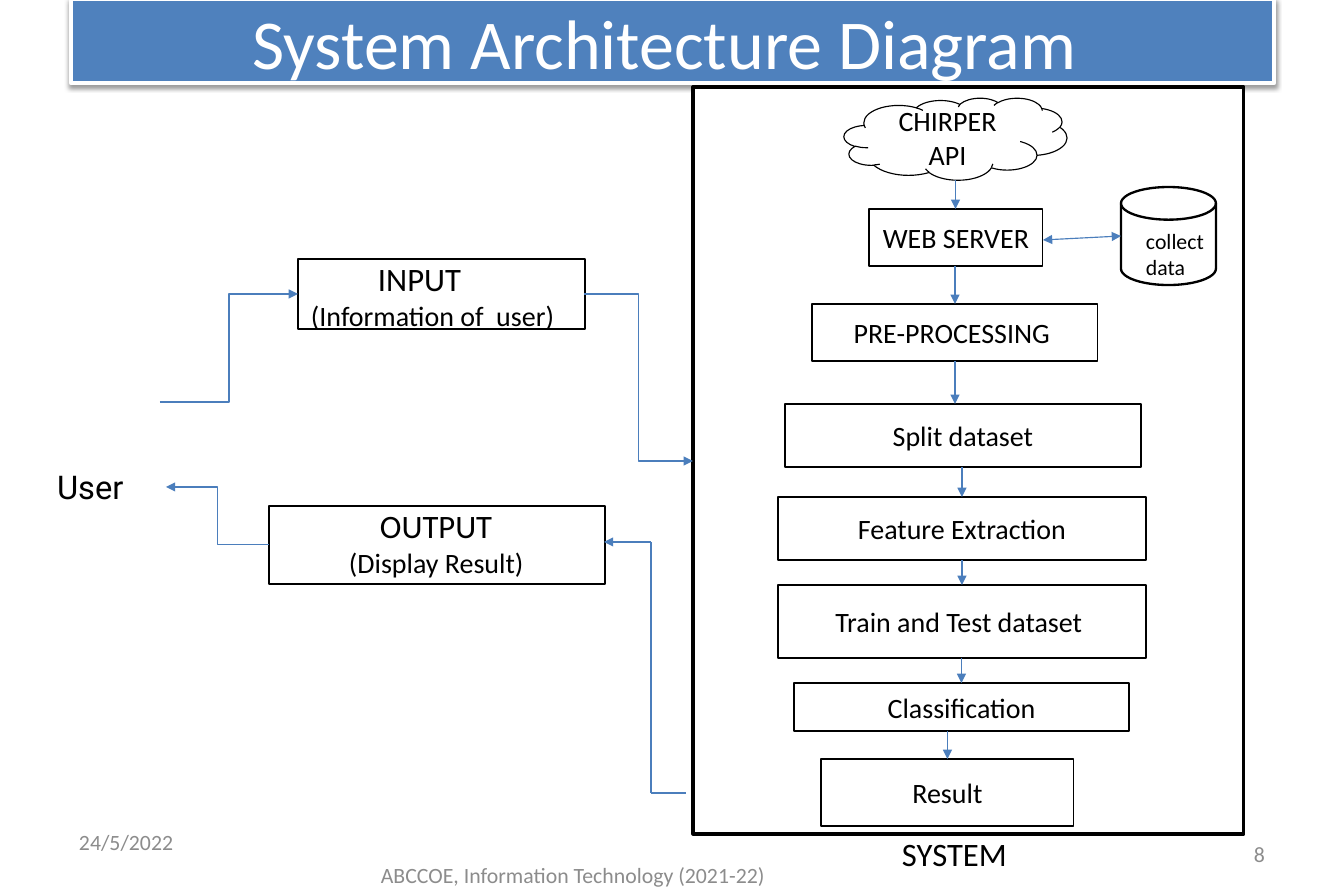
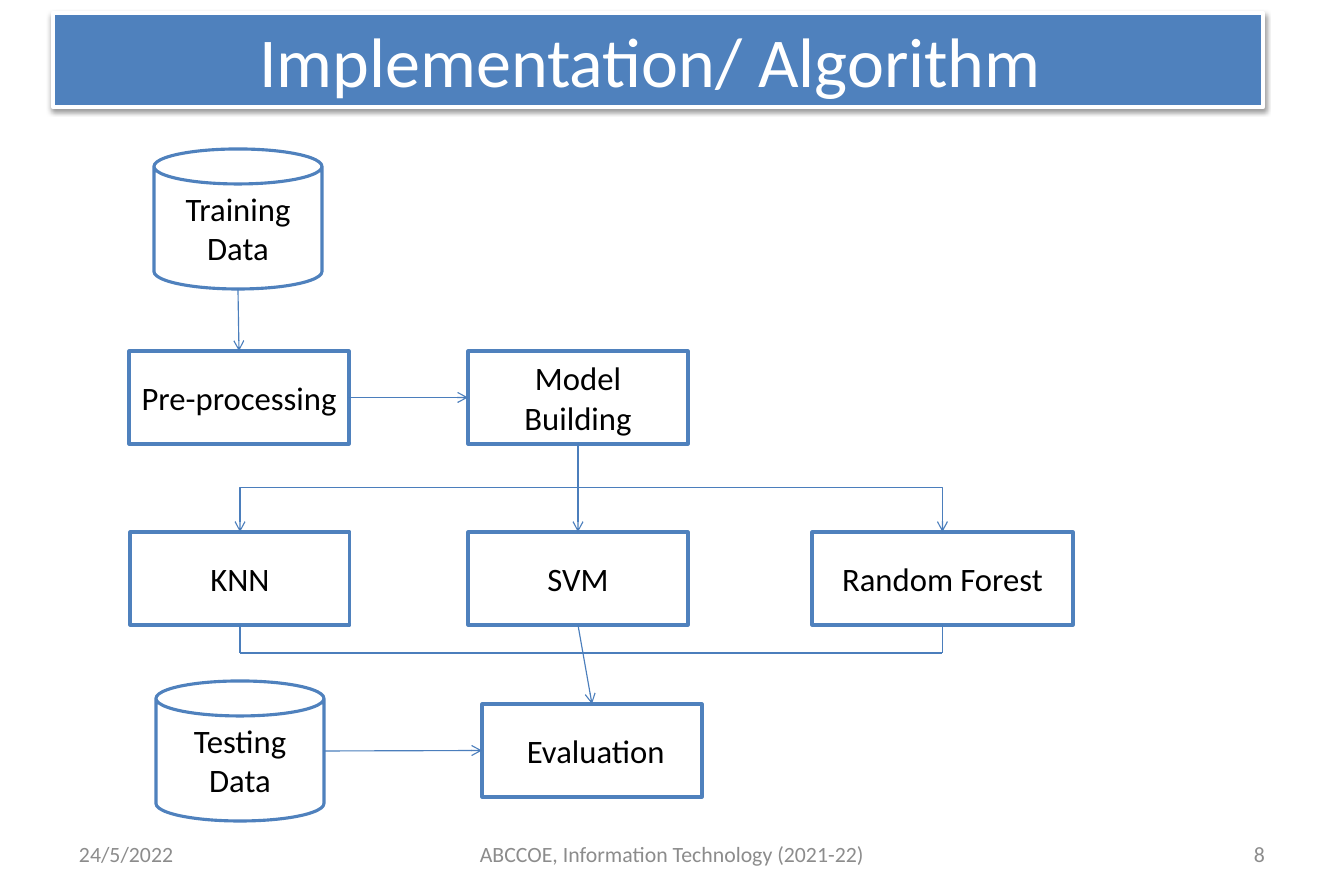
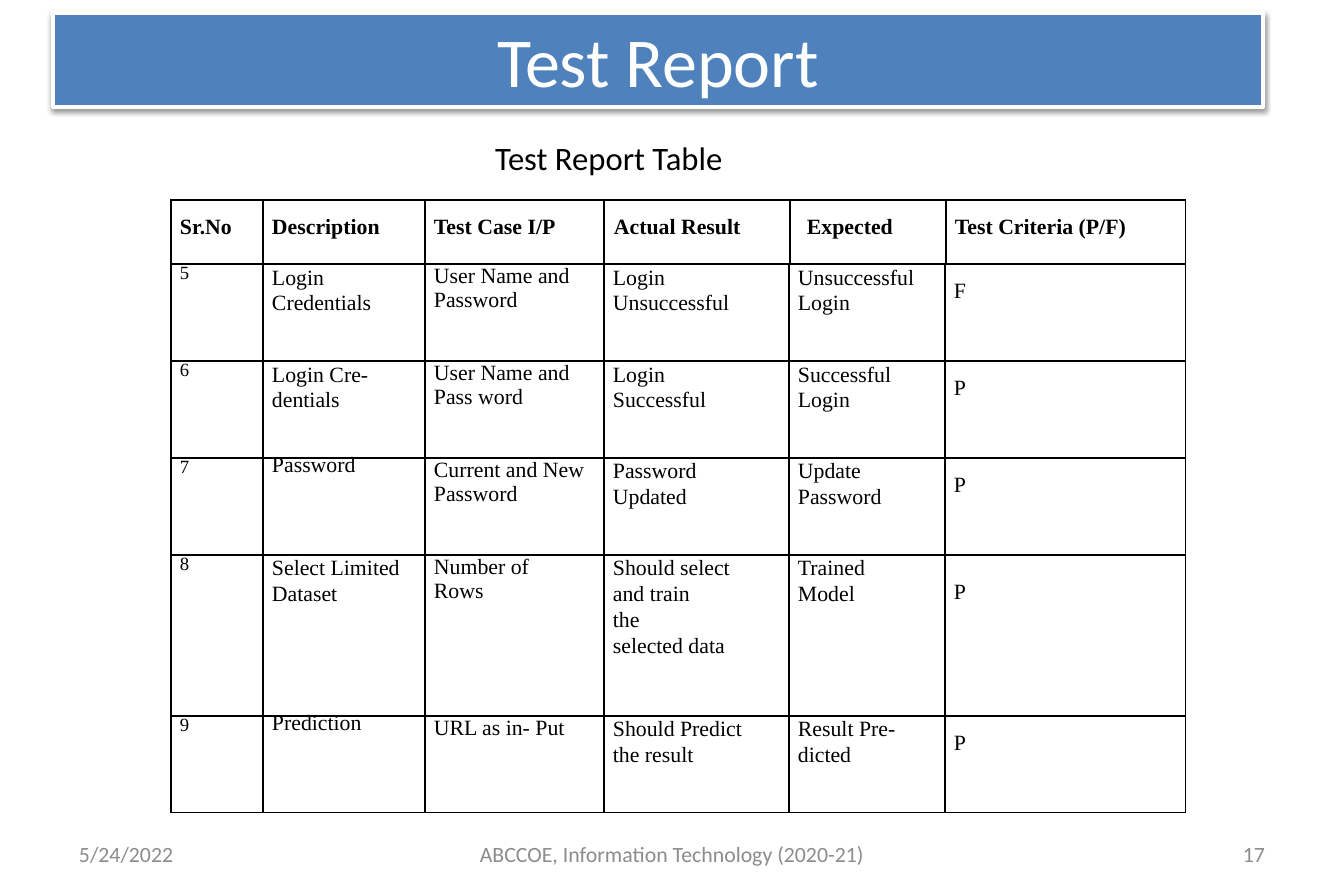
"""Build three project slides: architecture, algorithm and test report."""
from dataclasses import dataclass
from itertools import pairwise

from lxml.etree import SubElement
from pptx import Presentation
from pptx.dml.color import RGBColor
from pptx.enum.shapes import MSO_CONNECTOR as Wire, MSO_SHAPE as Form
from pptx.enum.text import MSO_ANCHOR as Anchor, PP_ALIGN as Align
from pptx.oxml.ns import qn
from pptx.util import Emu, Pt


@dataclass(frozen=True)
class Theme:
    band: str = "4F81BD"
    wire: str = "4B7EBC"
    ink: str = "000000"
    paper: str = "FFFFFF"
    muted: str = "8C8C8C"
    sans: str = "Calibri"
    user: str = "Roboto"
    serif: str = "Times New Roman"
    title: int = 45
    large: int = 21
    body: int = 18
    small: int = 14
    tiny: int = 12
    exact: float = 12.6


THEME = Theme()
COLLEGE = "ABCCOE, Information Technology "
BAND = (53, 13, 1210, 94)
FOOTER = ((67, 830, 314), (459, 830, 426), (963, 830, 314))

ARCHITECTURE = dict(
    title="System Architecture Diagram ",
    band=(71, -1, 1203, 84),
    notes=("24/5/2022", COLLEGE + "(2021-22)", "8"),
    footer=((67, 818, 314), (360, 851, 426), (963, 830, 314)),
)
ALGORITHM = dict(title="Implementation/ Algorithm ",
                 notes=("24/5/2022", COLLEGE + "(2021-22)", "8"))
REPORT = dict(title="Test Report",
              notes=("5/24/2022", COLLEGE + "(2020-21)", "17"))

SYSTEM = (693, 87, 551, 747)
STEPS = [
    ("CHIRPER API", (844, 98, 223, 82)),
    ("WEB SERVER", (869, 209, 174, 57)),
    ("PRE-PROCESSING ", (812, 304, 286, 57)),
    ("Split dataset", (785, 404, 356, 63)),
    ("Feature Extraction", (778, 497, 368, 63)),
    ("Train and Test dataset ", (778, 585, 368, 73)),
    ("Classification", (794, 683, 335, 48)),
    ("Result", (821, 759, 253, 67)),
]
EXCHANGES = [
    ((298, 259, 287, 70), [("INPUT", 80, THEME.large),
                           ("(Information of  user)", 13, THEME.body)]),
    ((269, 506, 336, 78), [("OUTPUT", 111, THEME.large),
                           ("(Display Result)", 80, THEME.body)]),
]
USER_ELBOWS = [((160, 402), (298, 294)), ((584, 294), (693, 461)),
               ((269, 545), (166, 487))]
RESULT_ROUTE = [(686, 793), (651, 793), (651, 542), (604, 542)]
STORE = (1121, 187, 95, 98)
STORE_LINK = ((1043, 240), (1121, 236))

BLOCKS = {
    "training": ("Training Data", Form.CAN, (154, 149, 168, 140)),
    "cleaning": ("Pre-processing", Form.RECTANGLE, (129, 351, 220, 93)),
    "model": ("Model Building", Form.RECTANGLE, (468, 351, 220, 93)),
    "knn": ("KNN", Form.RECTANGLE, (130, 532, 220, 93)),
    "svm": ("SVM", Form.RECTANGLE, (468, 532, 220, 93)),
    "forest": ("Random Forest", Form.RECTANGLE, (812, 532, 261, 93)),
    "testing": ("Testing Data", Form.CAN, (156, 681, 168, 140)),
    "evaluation": (" Evaluation", Form.RECTANGLE, (482, 704, 220, 93)),
}
ACROSS = [("cleaning", "model"), ("testing", "evaluation")]
DOWN = [("training", "cleaning"), ("model", "svm"), ("svm", "evaluation")]
BRANCHES = [("model", "knn"), ("model", "forest")]
MERGE_Y = 653

HEADINGS = ("Sr.No", "Description", "Test Case I/P", "Actual Result",
            "Expected", "Test Criteria (P/F)")
HEADING_WIDTHS = (92, 162, 179, 186, 156, 240)
HEADING_INDENTS = (9, 9, 9, 10, 17, 9)
CASE_WIDTHS = (92, 162, 179, 185, 156, 241)
CASES = [
    (97, 20, ("5", "Login\vCredentials", "User Name and\vPassword",
              "Login\vUnsuccessful", "Unsuccessful\vLogin", "F")),
    (97, 20, ("6", "Login Cre-\vdentials", "User Name and\vPass word",
              "Login\vSuccessful", "Successful\vLogin", "P")),
    (97, 20, ("7", "Password", "Current and New\vPassword",
              "Password\vUpdated", "Update\vPassword", "P")),
    (161, 30, ("8", "Select Limited\vDataset", "Number of\vRows",
               "Should select\vand train\vthe\vselected data",
               "Trained\vModel", "P")),
    (97, 20, ("9", "Prediction", "URL as in- Put",
              "Should Predict\vthe result", "Result Pre-\vdicted", "P")),
]
CASE_SPACING = (Pt(THEME.exact), 1.07, 1.0, 1.07, 1.07, Pt(THEME.exact))


def px(length):
    return Emu(round(length * 914400 / 112))


def rgb(name):
    return RGBColor.from_string(name)


def style(para, size, color=THEME.ink, font=THEME.sans, bold=False):
    para.font.size = Pt(size)
    para.font.name = font
    para.font.bold = bold
    para.font.color.rgb = rgb(color)


def write(box, text, size, color=THEME.ink, align=Align.CENTER,
          anchor=Anchor.MIDDLE, font=THEME.sans):
    frame = box.text_frame
    frame.word_wrap = True
    frame.vertical_anchor = anchor
    para = frame.paragraphs[0]
    para.text = text
    para.alignment = align
    style(para, size, color, font)


def add_label(page, at, text, size, **looks):
    box = page.shapes.add_textbox(*map(px, at))
    write(box, text, size, **{"align": Align.LEFT, "anchor": Anchor.TOP, **looks})
    return box


def add_block(page, form, at, width=0.75, line=THEME.ink, fill=THEME.paper):
    block = page.shapes.add_shape(form, *map(px, at))
    block.shadow.inherit = False
    block.fill.solid()
    block.fill.fore_color.rgb = rgb(fill)
    block.line.color.rgb = rgb(line)
    block.line.width = Pt(width)
    return block


def add_wire(page, start, end, kind=Wire.STRAIGHT, head=None, tail=None):
    wire = page.shapes.add_connector(kind, *map(px, (*start, *end)))
    wire.line.color.rgb = rgb(THEME.wire)
    wire.line.width = Pt(0.75)
    line = wire.line._get_or_add_ln()
    for tag, tip in (("a:headEnd", head), ("a:tailEnd", tail)):
        if tip:
            SubElement(line, qn(tag), type=tip)
    SubElement(wire._element.spPr, qn("a:effectLst"))
    return wire


def add_route(page, points, tail=None):
    legs = list(pairwise(points))
    for leg in legs:
        add_wire(page, *leg, tail=tail if leg == legs[-1] else None)


def add_drop(page, start, end, tail):
    """Draw an elbow that leaves downwards, as a quarter-turned connector."""
    (x1, y1), (x2, y2) = start, end
    mid_x, mid_y = (x1 + x2) / 2, (y1 + y2) / 2
    half_w, half_h = (y2 - y1) / 2, (x1 - x2) / 2
    wire = add_wire(page, (mid_x - half_w, mid_y - half_h),
                    (mid_x + half_w, mid_y + half_h), Wire.ELBOW, tail=tail)
    wire._element.spPr.find(qn("a:xfrm")).set("rot", "5400000")


def side(at, across, down):
    left, top, width, height = at
    return left + width * across, top + height * down


def add_page(deck, title, notes, band=BAND, footer=FOOTER):
    page = deck.slides.add_slide(deck.slide_layouts[6])
    aligns = (Align.LEFT, Align.CENTER, Align.RIGHT)
    for text, (left, top, width), align in zip(notes, footer, aligns):
        box = add_label(page, (left, top, width, 48), text, THEME.small,
                        color=THEME.muted, align=align, anchor=Anchor.MIDDLE)
        box.text_frame.margin_left = box.text_frame.margin_right = px(12)
    banner = add_block(page, Form.RECTANGLE, band, 3, THEME.paper, THEME.band)
    write(banner, title, THEME.title, THEME.paper)
    effects = banner._element.spPr.find(qn("a:effectLst"))
    shadow = SubElement(effects, qn("a:outerShdw"), blurRad=str(Pt(3.1)),
                        dist=str(Pt(1.6)), dir="5400000", rotWithShape="0")
    tint = SubElement(shadow, qn("a:srgbClr"), val=THEME.ink)
    SubElement(tint, qn("a:alpha"), val="38000")
    return page


def build_architecture(deck):
    page = add_page(deck, **ARCHITECTURE)
    add_label(page, (46, 461, 120, 50), "User", THEME.large, font=THEME.user)
    for at, lines in EXCHANGES:
        frame = add_block(page, Form.RECTANGLE, at, 1).text_frame
        frame.vertical_anchor = Anchor.TOP
        frame.margin_left = frame.margin_right = 0
        frame.margin_top = frame.margin_bottom = 0
        for index, (text, indent, size) in enumerate(lines):
            para = frame.add_paragraph() if index else frame.paragraphs[0]
            para.text = text
            para.alignment = Align.LEFT
            para._p.get_or_add_pPr().set("marL", str(px(indent)))
            style(para, size)
    add_block(page, Form.RECTANGLE, SYSTEM, 2)
    for index, (text, at) in enumerate(STEPS):
        form = Form.RECTANGLE if index else Form.CLOUD
        write(add_block(page, form, at), text, THEME.body)
    for (_, upper), (_, lower) in pairwise(STEPS):
        x = min(side(upper, 0.5, 1)[0], side(lower, 0.5, 0)[0])
        add_wire(page, (x, upper[1] + upper[3]), (x, lower[1]), tail="triangle")
    for start, end in USER_ELBOWS:
        add_wire(page, start, end, Wire.ELBOW, tail="triangle")
    add_route(page, RESULT_ROUTE, "triangle")
    add_block(page, Form.FLOWCHART_MAGNETIC_DISK, STORE, 1.5)
    add_wire(page, *STORE_LINK, head="triangle", tail="triangle")
    add_label(page, (1135, 222, 121, 64), "collect data", THEME.small)
    add_label(page, (891, 828, 148, 50), "SYSTEM", THEME.large)


def build_algorithm(deck):
    page = add_page(deck, **ALGORITHM)
    places = {name: at for name, (_, _, at) in BLOCKS.items()}
    for text, form, at in BLOCKS.values():
        write(add_block(page, form, at, 2, THEME.band), text, THEME.large)
    for first, second in ACROSS:
        add_wire(page, side(places[first], 1, 0.5),
                 side(places[second], 0, 0.5), tail="arrow")
    for draw, links in ((add_wire, DOWN), (add_drop, BRANCHES)):
        for first, second in links:
            draw(page, side(places[first], 0.5, 1),
                 side(places[second], 0.5, 0), tail="arrow")
    start, end = (side(places[name], 0.5, 1) for name in ("knn", "forest"))
    add_route(page, [start, (start[0], MERGE_Y), (end[0], MERGE_Y), end])


def add_grid(page, top, widths, heights):
    at = (171, top, sum(widths), sum(heights))
    grid = page.shapes.add_table(len(heights), len(widths), *map(px, at)).table
    grid.first_row = grid.horz_banding = False
    for column, width in zip(grid.columns, widths):
        column.width = px(width)
    for row, height in zip(grid.rows, heights):
        row.height = px(height)
    return grid


def fill_cell(cell, text, size, spacing, left=9, top=0, bold=False):
    cell.margin_left, cell.margin_top = px(left), px(top)
    cell.margin_right = cell.margin_bottom = 0
    para = cell.text_frame.paragraphs[0]
    para.text = text
    para.line_spacing = spacing
    style(para, size, font=THEME.serif, bold=bold)
    props = cell._tc.get_or_add_tcPr()
    for edge in ("a:lnL", "a:lnR", "a:lnT", "a:lnB"):
        line = SubElement(props, qn(edge), w=str(Pt(1)))
        SubElement(SubElement(line, qn("a:solidFill")), qn("a:srgbClr"),
                   val=THEME.ink)
    cell.fill.background()


def build_report(deck):
    page = add_page(deck, **REPORT)
    cases = add_grid(page, 264, CASE_WIDTHS, [height for height, _, _ in CASES])
    for row, (_, drop, texts) in enumerate(CASES):
        for column, text in enumerate(texts):
            one_line = column == 1 and "\v" not in text
            fill_cell(cases.cell(row, column), text,
                      THEME.small if column else THEME.tiny,
                      Pt(THEME.exact) if one_line else CASE_SPACING[column],
                      top=drop if column == 5 else 0)
    header = add_grid(page, 200, HEADING_WIDTHS, [64])
    for column, (text, indent) in enumerate(zip(HEADINGS, HEADING_INDENTS)):
        fill_cell(header.cell(0, column), text, THEME.small, Pt(THEME.exact),
                  indent, 20, True)
    add_label(page, (484, 132, 299, 50), "Test Report Table ", THEME.large)


deck = Presentation()
deck.slide_width, deck.slide_height = px(1344), px(896)
for build in (build_architecture, build_algorithm, build_report):
    build(deck)
deck.save("out.pptx")
